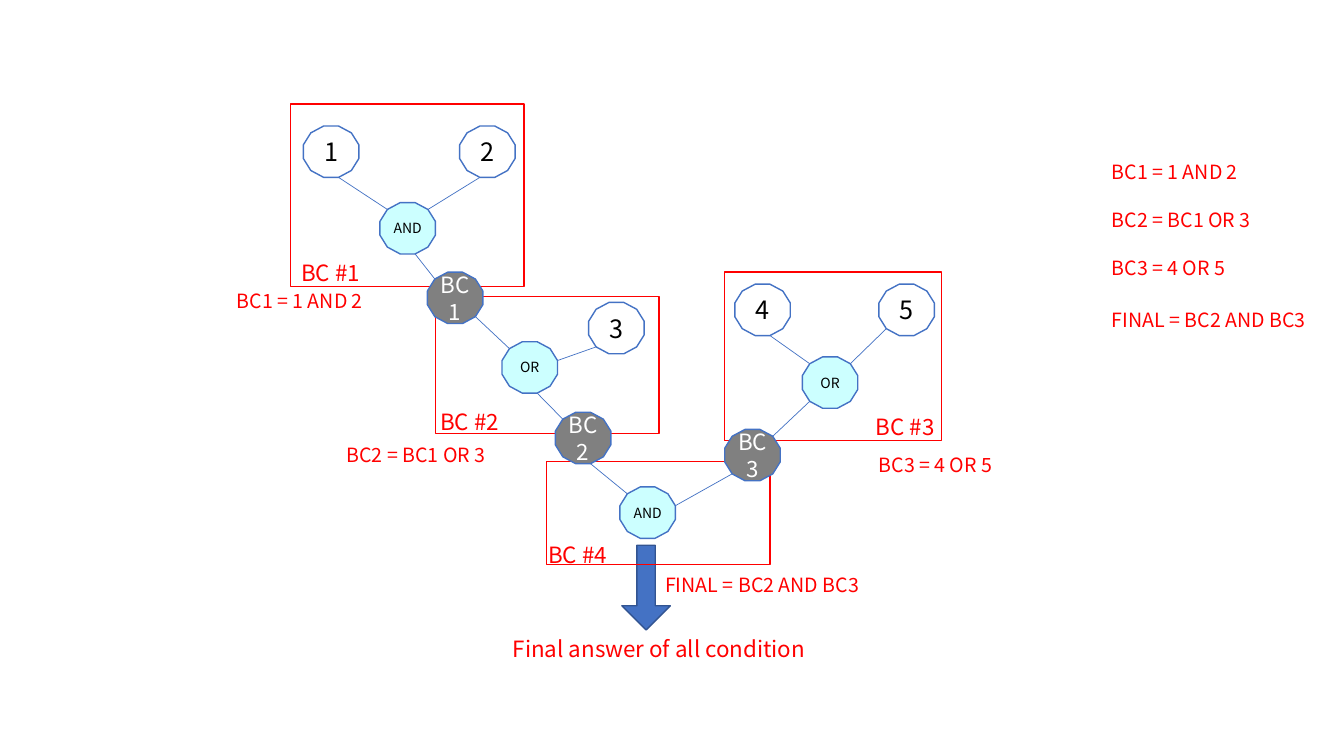
import math
from dataclasses import dataclass

import lxml.etree
import pptx
import pptx.dml.color
import pptx.enum.shapes
import pptx.enum.text
import pptx.oxml.ns
import pptx.presentation
import pptx.shapes.autoshape
import pptx.slide
import pptx.text.text
import pptx.util

Pt = pptx.util.Pt
RGBColor = pptx.dml.color.RGBColor
Preset = pptx.enum.shapes.MSO_SHAPE

RED = RGBColor(0xFF, 0x00, 0x00)
BLUE = RGBColor(0x44, 0x72, 0xC4)
DARK_BLUE = RGBColor(0x32, 0x54, 0x91)
CYAN = RGBColor(0xCC, 0xFF, 0xFF)
GRAY = RGBColor(0x80, 0x80, 0x80)
WHITE = RGBColor(0xFF, 0xFF, 0xFF)
BLACK = RGBColor(0x00, 0x00, 0x00)

FONT = "Noto Sans CJK KR"
NODE_WIDTH = 39.6
NODE_HEIGHT = 36.7
SUMMARY_LEFT = 787


@dataclass(frozen=True)
class NodeStyle:
    fill: RGBColor
    color: RGBColor
    size: float
    has_insets: bool = False


@dataclass(frozen=True)
class Node:
    text: str
    left: float
    top: float
    style: NodeStyle

    def vertex(self, index: int) -> tuple[float, float]:
        angle = math.radians(15 + 30 * index)
        scale = 2 * math.cos(math.radians(15))
        return (
            self.left + NODE_WIDTH * (0.5 + math.sin(angle) / scale),
            self.top + NODE_HEIGHT * (0.5 - math.cos(angle) / scale),
        )


@dataclass(frozen=True)
class Link:
    start: str
    start_vertex: int
    end: str
    end_vertex: int


@dataclass(frozen=True)
class Box:
    left: float
    top: float
    width: float
    height: float


@dataclass(frozen=True)
class Label:
    text: str
    box: Box
    size: float


@dataclass(frozen=True)
class Formula:
    text: str
    left: float
    top: float
    width: float
    summary_top: float
    summary_width: float


CONDITION = NodeStyle(WHITE, BLACK, 18, has_insets=True)
OPERATOR = NodeStyle(CYAN, BLACK, 10)
RESULT = NodeStyle(GRAY, WHITE, 16)

NODES = {
    "1": Node("1", 216.7, 90, CONDITION),
    "2": Node("2", 328.3, 90, CONDITION),
    "3": Node("3", 420.5, 216, CONDITION),
    "4": Node("4", 524.9, 203, CONDITION),
    "5": Node("5", 627.8, 203, CONDITION),
    "operator 1": Node("AND", 271.4, 144.7, OPERATOR),
    "operator 2": Node("OR", 358.6, 244.1, OPERATOR),
    "operator 3": Node("OR", 573.1, 254.9, OPERATOR),
    "operator 4": Node("AND", 442.8, 347.8, OPERATOR),
    "BC1": Node("BC1", 305.3, 194.4, RESULT),
    "BC2": Node("BC2", 396.7, 294.5, RESULT),
    "BC3": Node("BC3", 517.7, 306.7, RESULT),
}

LINKS = [
    Link("1", 5, "operator 1", 10),
    Link("2", 6, "operator 1", 1),
    Link("operator 1", 5, "BC1", 10),
    Link("BC1", 4, "operator 2", 10),
    Link("3", 7, "operator 2", 2),
    Link("BC2", 10, "operator 2", 5),
    Link("4", 5, "operator 3", 10),
    Link("5", 7, "operator 3", 1),
    Link("operator 3", 7, "BC3", 1),
    Link("BC2", 5, "operator 4", 10),
    Link("BC3", 7, "operator 4", 2),
]

FRAMES = [
    Box(207.4, 74.2, 167, 130.3),
    Box(311, 211.7, 159.8, 97.9),
    Box(517.7, 194.4, 154.8, 120.2),
    Box(390.2, 329.8, 159.8, 73.4),
]

FRAME_LABEL_CORNERS = [(208.1, 181.4), (307.4, 288), (618.5, 291.6), (384.5, 383)]

FORMULAS = [
    Formula("BC1 = 1 AND 2", 162, 203, 119.5, 110.9, 119.5),
    Formula("BC2 = BC1 OR 3", 240.5, 312.5, 146.9, 144.7, 146.9),
    Formula("BC3 = 4 OR 5", 620.6, 319.7, 146.9, 179.3, 146.9),
    Formula("FINAL = BC2 AND BC3", 468, 405.4, 164.2, 216.7, 164.2),
]

ARROW = Box(444.2, 389.5, 34.6, 60.5)
FINAL_LABEL = Label("Final answer of all condition", Box(359.3, 450, 239.8, 26.6), 16)


def add_run(paragraph: pptx.text.text._Paragraph, text: str, size: float, color: RGBColor) -> None:
    run = paragraph.add_run()
    run.text = text
    run.font.name = FONT
    run.font.size = Pt(size)
    run.font.color.rgb = color


def add_preset(
    slide: pptx.slide.Slide, preset: Preset, box: Box, fill: RGBColor | None, line: RGBColor
) -> pptx.shapes.autoshape.Shape:
    shape = slide.shapes.add_shape(preset, Pt(box.left), Pt(box.top), Pt(box.width), Pt(box.height))
    shape.shadow.inherit = False
    if fill is None:
        shape.fill.background()
    else:
        shape.fill.solid()
        shape.fill.fore_color.rgb = fill
    shape.line.color.rgb = line
    shape.line.width = Pt(1)
    return shape


def draw_node(slide: pptx.slide.Slide, node: Node) -> None:
    box = Box(node.left, node.top, NODE_WIDTH, NODE_HEIGHT)
    shape = add_preset(slide, Preset.DODECAGON, box, node.style.fill, BLUE)
    frame = shape.text_frame
    frame.word_wrap = True
    frame.vertical_anchor = pptx.enum.text.MSO_ANCHOR.MIDDLE
    if not node.style.has_insets:
        frame.margin_left = frame.margin_right = frame.margin_top = frame.margin_bottom = 0
    paragraph = frame.paragraphs[0]
    paragraph.alignment = pptx.enum.text.PP_ALIGN.CENTER
    add_run(paragraph, node.text, node.style.size, node.style.color)


def draw_link(slide: pptx.slide.Slide, link: Link) -> None:
    start = NODES[link.start].vertex(link.start_vertex)
    end = NODES[link.end].vertex(link.end_vertex)
    connector = slide.shapes.add_connector(
        pptx.enum.shapes.MSO_CONNECTOR.STRAIGHT, *(Pt(value) for value in start + end)
    )
    connector.line.color.rgb = BLUE
    connector.line.width = Pt(0.5)
    properties = connector._element.spPr
    lxml.etree.SubElement(properties, pptx.oxml.ns.qn("a:effectLst"))


def draw_label(slide: pptx.slide.Slide, label: Label) -> None:
    box = label.box
    shape = slide.shapes.add_textbox(Pt(box.left), Pt(box.top), Pt(box.width), Pt(box.height))
    shape.text_frame.word_wrap = True
    shape.text_frame.auto_size = pptx.enum.text.MSO_AUTO_SIZE.SHAPE_TO_FIT_TEXT
    add_run(shape.text_frame.paragraphs[0], label.text, label.size, RED)


def main() -> None:
    presentation = pptx.Presentation()
    presentation.slide_width = Pt(960)
    presentation.slide_height = Pt(540)
    slide = presentation.slides.add_slide(presentation.slide_layouts[6])

    arrow = add_preset(slide, Preset.DOWN_ARROW, ARROW, BLUE, DARK_BLUE)
    arrow.adjustments[0] = 0.38
    for frame in FRAMES:
        add_preset(slide, Preset.RECTANGLE, frame, None, RED)
    for link in LINKS:
        draw_link(slide, link)
    for node in NODES.values():
        draw_node(slide, node)

    for number, (left, top) in enumerate(FRAME_LABEL_CORNERS, start=1):
        draw_label(slide, Label(f"BC #{number}", Box(left, top, 71.3, 26.6), 16))
    for formula in FORMULAS:
        beside_frame = Box(formula.left, formula.top, formula.width, 24.2)
        in_summary = Box(SUMMARY_LEFT, formula.summary_top, formula.summary_width, 24.2)
        for box in (beside_frame, in_summary):
            draw_label(slide, Label(formula.text, box, 14))
    draw_label(slide, FINAL_LABEL)

    presentation.save("out.pptx")


if __name__ == "__main__":
    main()
